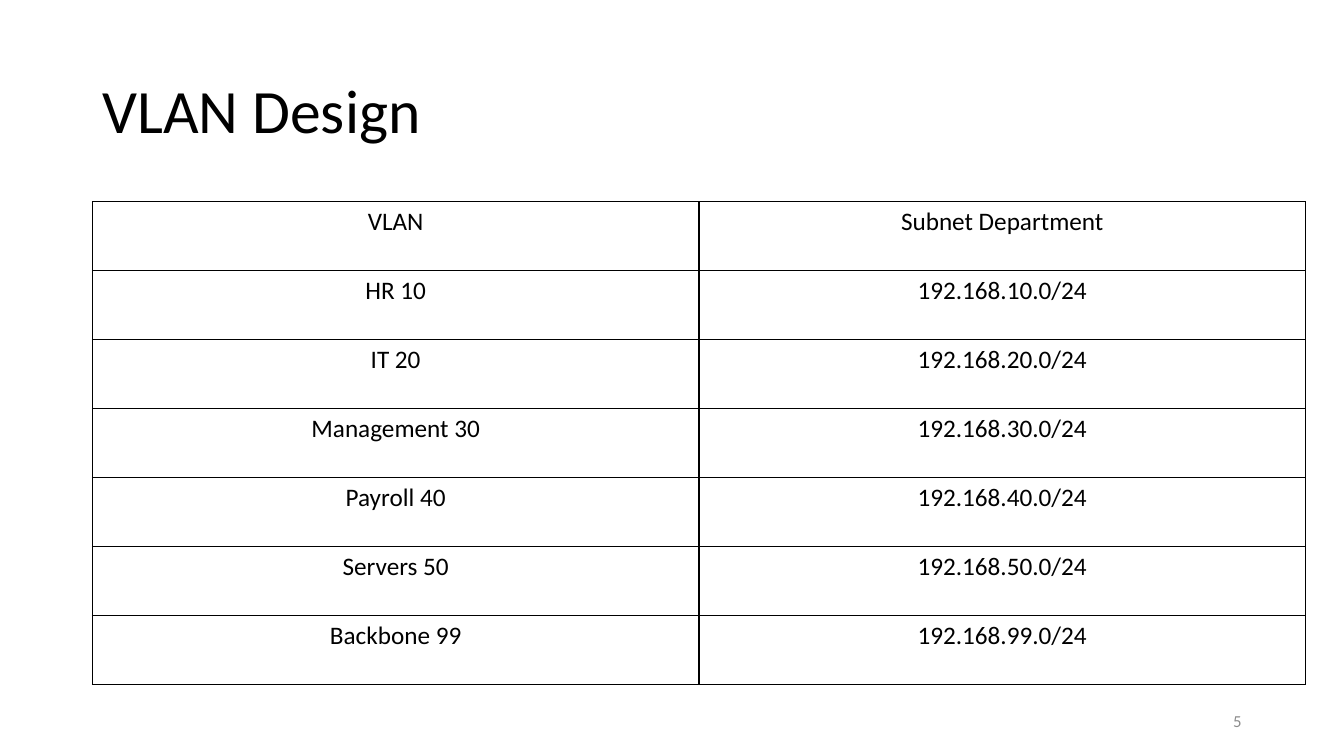
from lxml import etree
from pptx import Presentation
from pptx.dml.color import RGBColor
from pptx.enum.text import MSO_ANCHOR, PP_ALIGN
from pptx.oxml.ns import qn
from pptx.util import Pt

FONT = "Calibri"
BLACK = "000000"
GREY = "8C8C8C"
HEADER = ("VLAN", "Subnet Department")
VLANS = (("HR", 10), ("IT", 20), ("Management", 30), ("Payroll", 40),
         ("Servers", 50), ("Backbone", 99))


def rgb(value):
    """Turn a hex string into a colour."""
    return RGBColor.from_string(value)


def write(tf, text, size, color, align, **paragraph_format):
    """Write one formatted paragraph into a text frame."""
    p = tf.paragraphs[0]
    for name, value in {"alignment": align, **paragraph_format}.items():
        setattr(p, name, value)
    r = p.add_run()
    r.text = text
    for name, value in {"name": FONT, "size": Pt(size)}.items():
        setattr(r.font, name, value)
    r.font.color.rgb = rgb(color)


def place(sp, left, top, width, height):
    """Position a shape and centre its text vertically."""
    box = {"left": left, "top": top, "width": width, "height": height}
    for name, value in box.items():
        setattr(sp, name, Pt(value))
    sp.text_frame.word_wrap = True
    sp.text_frame.vertical_anchor = MSO_ANCHOR.MIDDLE


def add_title(s, text):
    """Move and format the title placeholder."""
    sp = s.shapes.title
    place(sp, 66, 28.8, 828, 104.4)
    write(sp.text_frame, text, 44, BLACK, PP_ALIGN.LEFT, line_spacing=0.9)


def add_page_number(s, number):
    """Add the page number at the bottom right."""
    sp = s.shapes.add_textbox(0, 0, 0, 0)
    place(sp, 678, 500.4, 216, 28.8)
    write(sp.text_frame, str(number), 12, GREY, PP_ALIGN.RIGHT)


def set_borders(cell, color, width):
    """Draw a solid line on every side of a cell."""
    props = cell._tc.get_or_add_tcPr()
    for index, side in enumerate(("lnL", "lnR", "lnT", "lnB")):
        line = etree.Element(qn(f"a:{side}"), w=str(Pt(width)))
        fill = etree.SubElement(line, qn("a:solidFill"))
        etree.SubElement(fill, qn("a:srgbClr"), val=color)
        props.insert(index, line)


def add_grid(s, rows, left, top, width, height):
    """Add a plain bordered table with centred text."""
    frame = s.shapes.add_table(len(rows), len(rows[0]), Pt(left), Pt(top),
                               Pt(width), Pt(height))
    table = frame.table
    for name in ("first_row", "horz_banding"):
        setattr(table, name, False)
    for y, row in enumerate(rows):
        for x, text in enumerate(row):
            cell = table.cell(y, x)
            cell.fill.background()
            write(cell.text_frame, text, 18, BLACK, PP_ALIGN.CENTER)
            set_borders(cell, BLACK, 1)


def main():
    """Build and save the slide."""
    prs = Presentation()
    prs.slide_width, prs.slide_height = Pt(960), Pt(540)
    s = prs.slides.add_slide(prs.slide_layouts[5])
    add_title(s, "VLAN Design")
    rows = [HEADER] + [(f"{name} {vlan}", f"192.168.{vlan}.0/24")
                       for name, vlan in VLANS]
    add_grid(s, rows, 66, 144, 866.6, 344.75)
    add_page_number(s, 5)
    prs.save("out.pptx")


if __name__ == "__main__":
    main()
